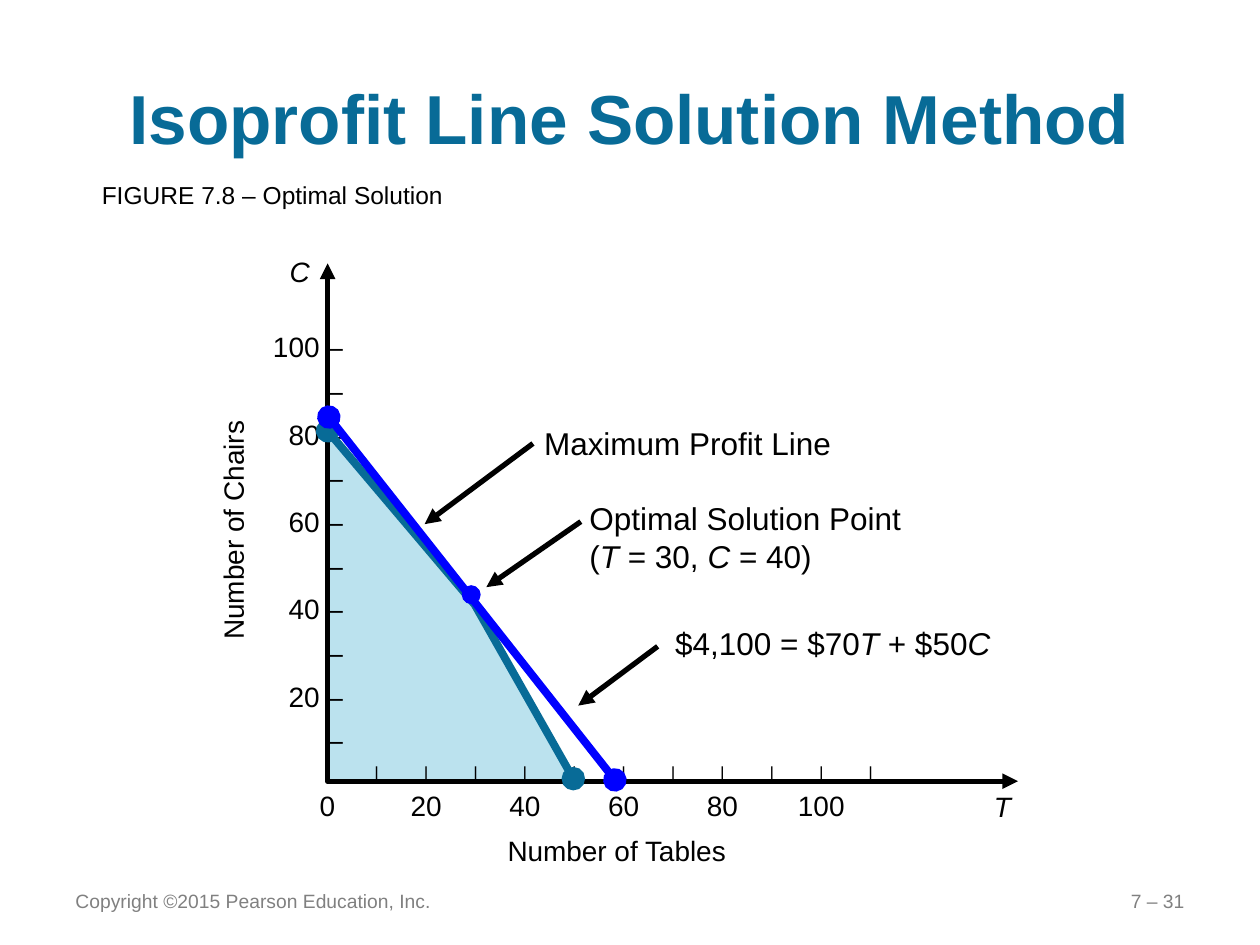
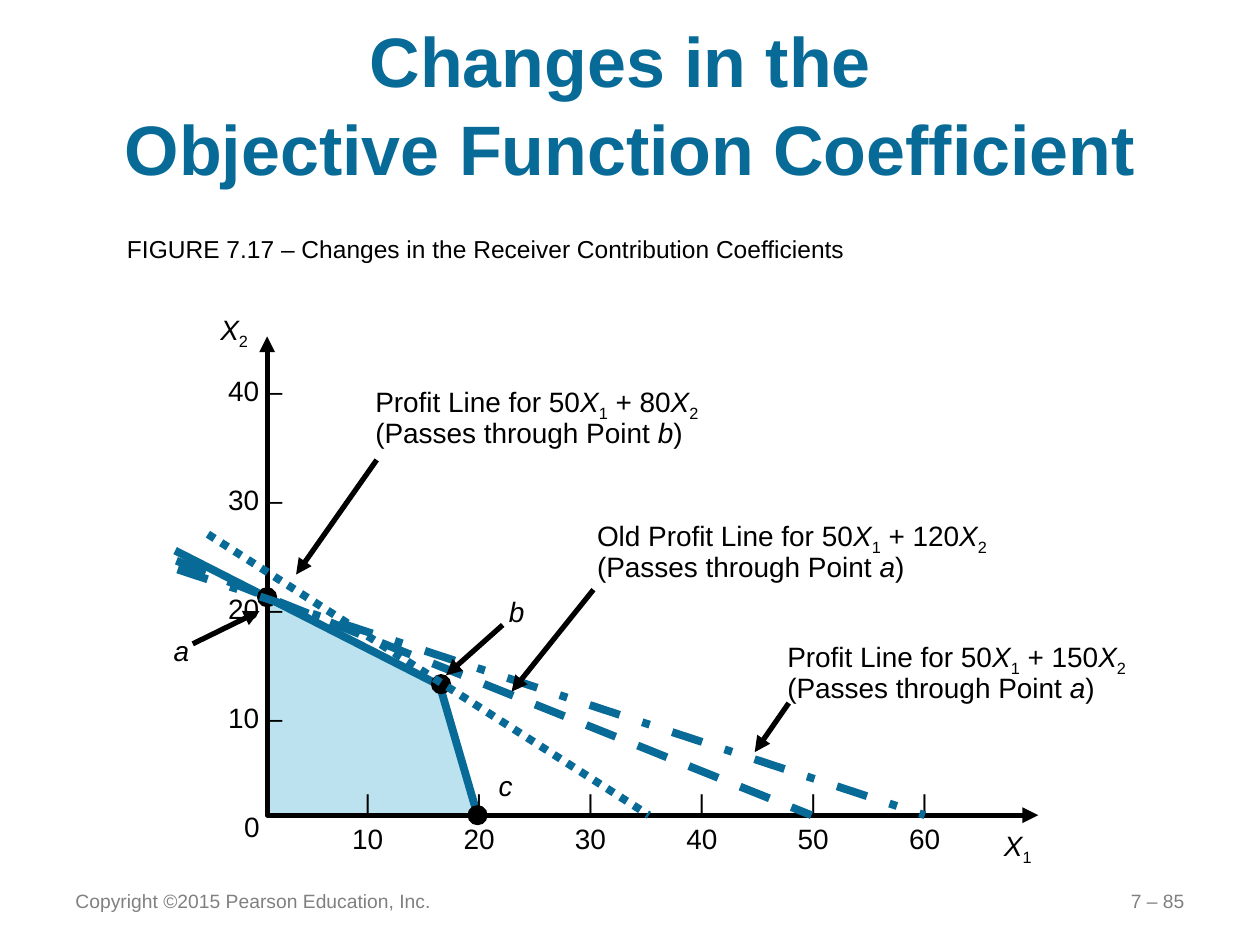
import dataclasses

import lxml.etree
import pptx
import pptx.dml.color
import pptx.enum.dml
import pptx.enum.shapes
import pptx.enum.text
import pptx.oxml.ns
import pptx.util

Inches = pptx.util.Inches
Align = pptx.enum.text.PP_ALIGN
Anchor = pptx.enum.text.MSO_ANCHOR
Dash = pptx.enum.dml.MSO_LINE


@dataclasses.dataclass(frozen=True)
class Theme:
    """Colours, type sizes and line widths that the slides share."""

    font: str = "Arial"
    teal: str = "086B97"
    region: str = "BBE2EE"
    blue: str = "0000FF"
    ink: str = "000000"
    grey: str = "808080"
    title: float = 40
    callout: float = 18
    label: float = 16
    caption: float = 14
    footer: float = 11
    plot_line: float = 4.5
    axis_line: float = 3
    dot_line: float = 0.75


@dataclasses.dataclass(frozen=True)
class Run:
    """A piece of text that departs from the format of its box."""

    text: str
    italic: bool = False
    subscript: bool = False
    size: float = None


THEME = Theme()


def rgb(colour):
    """Return a colour object for a hex string."""
    return pptx.dml.color.RGBColor.from_string(colour)


def add_xml(parent, tag, **attributes):
    """Append a DrawingML element to a parent."""
    return lxml.etree.SubElement(parent, pptx.oxml.ns.qn(tag), attributes)


def variable(name, index=None):
    """Return the runs of an italic variable with an optional subscript."""
    runs = [Run(name, italic=True)]
    return runs + [Run(index, subscript=True)] if index else runs


def add_run(paragraph, piece, size, colour, bold):
    """Add one formatted run to a paragraph."""
    piece = Run(piece) if isinstance(piece, str) else piece
    run = paragraph.add_run()
    run.text = piece.text
    run.font.name = THEME.font
    run.font.size = pptx.util.Pt(piece.size or size)
    run.font.color.rgb = rgb(colour)
    run.font.bold = bold
    run.font.italic = piece.italic
    if piece.subscript:
        run._r.get_or_add_rPr().set("baseline", "-25000")


def add_text(slide, box, paragraphs, size=THEME.label, colour=THEME.ink, bold=False,
             align=Align.LEFT, anchor=Anchor.TOP, spacing=None, wrap=False,
             grow=True, rotation=0, tabs=()):
    """Add a text box; each paragraph is a string or a list of pieces."""
    shape = slide.shapes.add_textbox(*map(Inches, box))
    shape.rotation = rotation
    frame = shape.text_frame
    frame.word_wrap = wrap
    frame.vertical_anchor = anchor
    auto = pptx.enum.text.MSO_AUTO_SIZE
    frame.auto_size = auto.SHAPE_TO_FIT_TEXT if grow else auto.NONE
    for index, pieces in enumerate(paragraphs):
        paragraph = frame.add_paragraph() if index else frame.paragraphs[0]
        paragraph.alignment = align
        if spacing:
            paragraph.line_spacing = spacing
        if tabs:
            tab_list = add_xml(paragraph._p.get_or_add_pPr(), "a:tabLst")
            for position in tabs[index]:
                add_xml(tab_list, "a:tab", pos=str(Inches(position)), algn="ctr")
        for piece in [pieces] if isinstance(pieces, str) else pieces:
            if isinstance(piece, str) and "\v" in piece:
                first, second = piece.split("\v")
                add_run(paragraph, first, size, colour, bold)
                paragraph.add_line_break()
                piece = second
            add_run(paragraph, piece, size, colour, bold)


def style_line(shape, colour, width, head=None, tail=None, dash=None):
    """Set colour, width, dash and end marks of an outline."""
    shape.line.color.rgb = rgb(colour)
    shape.line.width = pptx.util.Pt(width)
    if dash:
        shape.line.dash_style = dash
    outline = shape.element.spPr.find(pptx.oxml.ns.qn("a:ln"))
    for tag, mark in (("a:headEnd", head), ("a:tailEnd", tail)):
        if mark:
            add_xml(outline, tag, type=mark)


def add_line(slide, start, end, colour=THEME.teal, width=THEME.plot_line, **ends):
    """Add a straight line."""
    line = slide.shapes.add_connector(
        pptx.enum.shapes.MSO_CONNECTOR.STRAIGHT, *map(Inches, start + end))
    style_line(line, colour, width, **ends)
    add_xml(line.element.spPr, "a:effectLst")


def add_pointer(slide, start, end):
    """Add a black arrow from a label to the thing it names."""
    add_line(slide, start, end, THEME.ink, THEME.axis_line, tail="triangle")


def add_outline(slide, points, closed=False):
    """Add a freeform without a shadow and return it."""
    points = [tuple(map(Inches, point)) for point in points]
    builder = slide.shapes.build_freeform(*points[0])
    builder.add_line_segments(points[1:], close=closed)
    shape = builder.convert_to_shape()
    shape.shadow.inherit = False
    return shape


def add_region(slide, points):
    """Add the filled feasible region."""
    shape = add_outline(slide, points, closed=True)
    shape.fill.solid()
    shape.fill.fore_color.rgb = rgb(THEME.region)
    shape.line.fill.background()


def add_path(slide, points, colour, width, **ends):
    """Add an open path without fill."""
    shape = add_outline(slide, points)
    shape.fill.background()
    style_line(shape, colour, width, **ends)


def add_axes(slide, top, origin, right):
    """Add both axes as one path with an arrowhead at each end."""
    x, y = origin
    add_path(slide, [(x, top), origin, (right, y)], THEME.ink, THEME.axis_line,
             head="triangle", tail="triangle")


def add_dot(slide, centre, diameter, colour):
    """Add a round point marker."""
    left, top = (value - diameter / 2 for value in centre)
    shape = slide.shapes.add_shape(pptx.enum.shapes.MSO_SHAPE.OVAL,
                                   *map(Inches, (left, top, diameter, diameter)))
    shape.shadow.inherit = False
    shape.fill.solid()
    shape.fill.fore_color.rgb = rgb(colour)
    style_line(shape, colour, THEME.dot_line)


def add_vertical_scale(slide, box, labels, spacing):
    """Add right-aligned labels that each end in a tick mark."""
    ticks = [f"{label} –" if label else "–" for label in labels]
    add_text(slide, box, ticks, align=Align.RIGHT, spacing=spacing)


def add_horizontal_scale(slide, box, tick_stops, tick_size, label_stops, labels):
    """Add a row of tick marks above a row of centred labels."""
    marks = "|" + "\t|" * (len(tick_stops) - 1)
    numbers = "".join(f"\t{label}" for label in labels)
    add_text(slide, box, [["\t", Run(marks, size=tick_size)], numbers],
             spacing=1.1, wrap=True, tabs=(tick_stops, label_stops))


def stops(first, step, count):
    """Return evenly spaced tab positions."""
    return [first + step * index for index in range(count)]


def add_profit_label(slide, box, name, coefficient, point):
    """Name a profit line and the corner it passes through."""
    formula = [f"{name} for 50", *variable("X", "1"), f" + {coefficient}",
               *variable("X", "2")]
    passing = ["(Passes through Point ", *variable(point), ")"]
    add_text(slide, box, [formula, passing], spacing=0.9)


def add_slide(presentation, title, number, size=THEME.title, anchor=Anchor.MIDDLE,
              spacing=None):
    """Add a blank slide with the shared title and footers."""
    slide = presentation.slides.add_slide(presentation.slide_layouts[6])
    add_text(slide, (0.5, 0.3, 9, 1.25), [title], size, THEME.teal, bold=True,
             align=Align.CENTER, anchor=anchor, spacing=spacing, wrap=True, grow=False)
    for box, text, align in (
            ((0.5, 6.95, 3.08, 0.4), "Copyright ©2015 Pearson Education, Inc.", Align.LEFT),
            ((7.17, 6.95, 2.33, 0.4), f"7 – {number}", Align.RIGHT)):
        add_text(slide, box, [text], THEME.footer, THEME.grey, align=align,
                 anchor=Anchor.MIDDLE, wrap=True, grow=False)
    return slide


def build_isoprofit_slide(presentation):
    """Build the slide on the optimal isoprofit line."""
    slide = add_slide(presentation, "Isoprofit Line Solution Method", 31, size=39.6)
    add_text(slide, (0.71, 1.38, 2.93, 0.34), ["FIGURE 7.8 – Optimal Solution"],
             THEME.caption)
    origin = (2.6, 6.2)
    add_region(slide, [(2.6, 3.42), origin, (4.56, 6.2), (3.76, 4.78)])
    add_axes(slide, 2.09, origin, 8.08)
    chairs = [label for value in range(100, 0, -20) for label in (value, None)]
    add_vertical_scale(slide, (1.62, 2.49, 1.2, 3.94), chairs, 1.3)
    add_horizontal_scale(slide, (2.11, 5.89, 5.1, 0.69), stops(0.39, 0.392, 12), 10,
                         stops(0.39, 0.784, 6), range(0, 101, 20))
    add_text(slide, (2.2, 1.97, 0.43, 0.37), [variable("C")])
    add_text(slide, (7.79, 6.22, 0.39, 0.37), [variable("T")])
    add_text(slide, (0.87, 4.01, 1.96, 0.37), ["Number of Chairs"], rotation=270)
    add_text(slide, (3.93, 6.57, 1.96, 0.37), ["Number of Tables"])

    add_line(slide, (2.6, 3.42), (3.76, 4.79), head="oval")
    add_line(slide, (3.74, 4.75), (4.55, 6.18), tail="oval")
    callouts = [
        ((5.26, 4.9, 2.78, 0.4), (5.22, 5.13), (4.59, 5.6),
         [["$4,100 = $70", *variable("T"), " + $50", *variable("C")]]),
        ((4.58, 3.91, 2.7, 0.71), (4.61, 4.14), (3.86, 4.66),
         ["Optimal Solution Point",
          ["(", *variable("T"), " = 30, ", *variable("C"), " = 40)"]]),
        ((4.22, 3.32, 2.57, 0.4), (4.23, 3.52), (3.37, 4.16), ["Maximum Profit Line"]),
    ]
    for box, start, end, text in callouts:
        add_text(slide, box, text, THEME.callout)
        add_pointer(slide, start, end)
    add_line(slide, (2.61, 3.31), (4.88, 6.19), THEME.blue, head="oval", tail="oval")
    add_dot(slide, (3.74, 4.72), 0.14, THEME.blue)


def build_coefficient_slide(presentation):
    """Build the slide on changes in the objective function."""
    slide = add_slide(presentation, "Changes in the \vObjective Function Coefficient",
                      85, anchor=Anchor.BOTTOM, spacing=1.04)
    add_text(slide, (0.91, 1.81, 5.94, 0.34),
             ["FIGURE 7.17 – Changes in the Receiver Contribution Coefficients"],
             THEME.caption)
    origin = (2.12, 6.47)
    add_region(slide, [(2.12, 4.75), origin, (3.79, 6.47), (3.48, 5.44)])
    add_path(slide, [(1.39, 4.37), (3.49, 5.44), (3.79, 6.47)], THEME.teal,
             THEME.plot_line)
    add_vertical_scale(slide, (1.7, 2.32, 0.64, 3.41), range(40, 0, -10), 3.24)
    add_text(slide, (1.7, 6.38, 0.46, 0.37), ["0"], align=Align.RIGHT, wrap=True)
    add_axes(slide, 2.67, origin, 8.24)
    tens = stops(1.18, 0.884, 6)
    add_horizontal_scale(slide, (1.64, 6.15, 6.13, 0.69), tens, 14, tens,
                         range(10, 61, 10))
    add_text(slide, (1.65, 2.43, 0.5, 0.37), [variable("X", "2")])
    add_text(slide, (7.87, 6.53, 0.5, 0.37), [variable("X", "1")])

    for centre in ((2.12, 4.74), (3.5, 5.43), (3.79, 6.47)):
        add_dot(slide, centre, 0.15, THEME.ink)
    for start, end, dash in (((1.65, 4.24), (5.15, 6.47), Dash.ROUND_DOT),
                             ((1.4, 4.45), (6.44, 6.47), Dash.DASH),
                             ((1.41, 4.52), (7.34, 6.47), Dash.DASH_DOT)):
        add_line(slide, start, end, dash=dash)

    add_text(slide, (1.28, 4.98, 0.34, 0.37), [variable("a")])
    for name, left, top in (("b", 3.94, 4.7), ("c", 3.86, 6.08)):
        add_text(slide, (left, top, 0.4, 0.35), [variable(name)], spacing=0.9, wrap=True)
    add_profit_label(slide, (2.88, 3.01, 2.79, 0.59), "Profit Line", 80, "b")
    add_profit_label(slide, (4.64, 4.07, 3.33, 0.59), "Old Profit Line", 120, "a")
    add_profit_label(slide, (6.15, 5.03, 2.92, 0.59), "Profit Line", 150, "a")
    for start, end in (((1.53, 5.11), (2.06, 4.85)), ((2.99, 3.65), (2.35, 4.56)),
                       ((3.99, 4.96), (3.54, 5.36)), ((4.71, 4.68), (4.06, 5.49)),
                       ((6.26, 5.58), (5.99, 5.97))):
        add_pointer(slide, start, end)


def main():
    """Build and save the presentation."""
    presentation = pptx.Presentation()
    presentation.slide_width = Inches(10)
    presentation.slide_height = Inches(7.5)
    build_isoprofit_slide(presentation)
    build_coefficient_slide(presentation)
    presentation.save("out.pptx")


if __name__ == "__main__":
    main()
